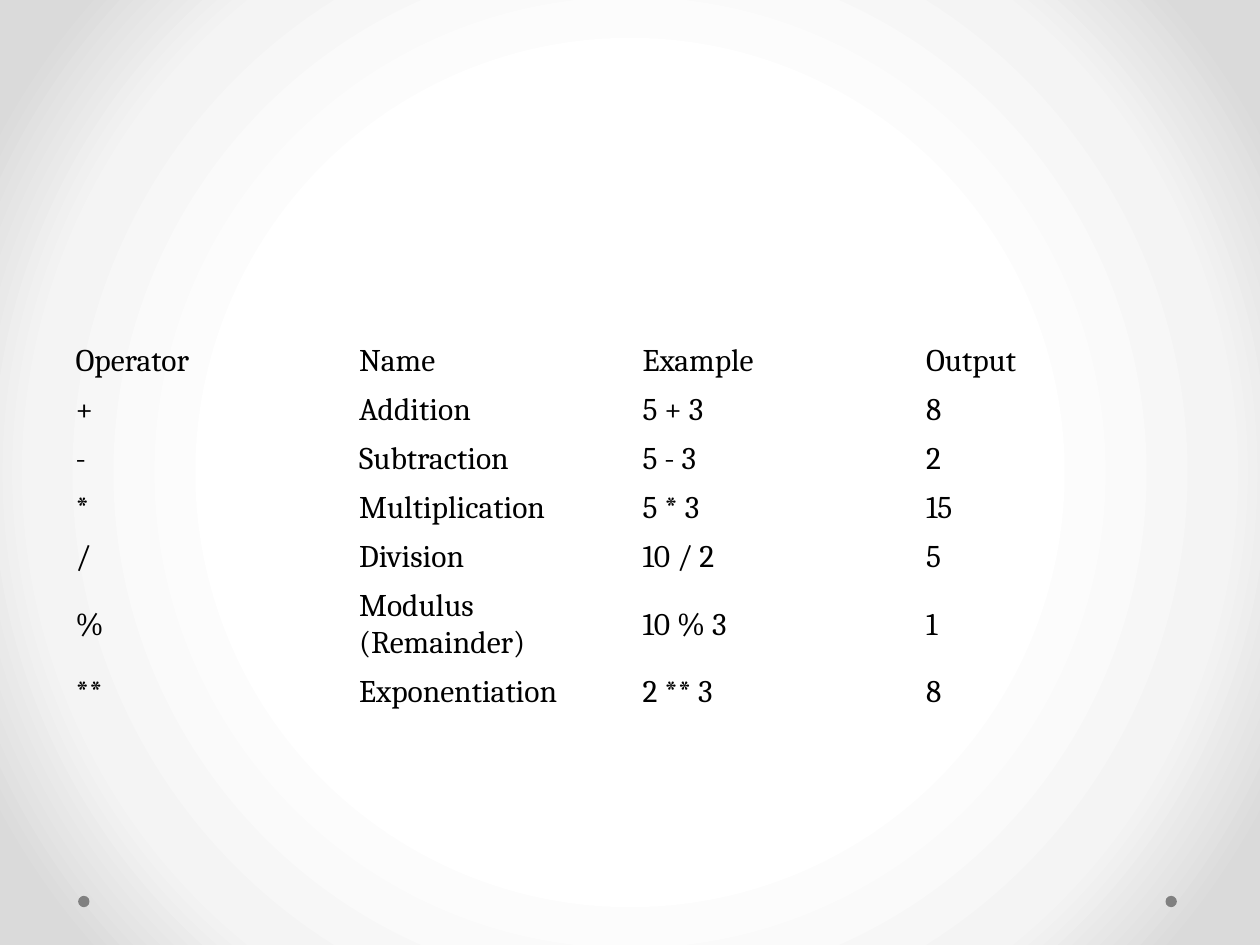
from typing import NamedTuple

from lxml.etree import SubElement
from pptx import Presentation
from pptx.dml.color import RGBColor
from pptx.enum.shapes import MSO_SHAPE as Shape
from pptx.enum.text import MSO_ANCHOR as Anchor
from pptx.oxml.ns import qn
from pptx.util import Inches, Pt

BLACK = RGBColor(0x00, 0x00, 0x00)
GREY = RGBColor(0x80, 0x80, 0x80)
WHITE = RGBColor(0xFF, 0xFF, 0xFF)
PALE = RGBColor(0xF4, 0xF4, 0xF4)
EDGE = RGBColor(0xDA, 0xDA, 0xDA)
FONT = "Cambria"
PLAIN_STYLE = "{2D5ABB26-0587-4C30-8999-92F81FD0307C}"
ROW, TALL = 0.39, 0.68


class Stop(NamedTuple):
    percent: int
    color: RGBColor


class Operator(NamedTuple):
    sign: str
    name: str
    example: str
    output: str
    height: float = ROW


STOPS = [Stop(50, WHITE), Stop(76, PALE), Stop(92, EDGE)]
DOTS = [0.62, 9.25]
ROWS = [
    Operator("Operator", "Name", "Example", "Output"),
    Operator("+", "Addition", "5 + 3", "8"),
    Operator("-", "Subtraction", "5 - 3", "2"),
    Operator("*", "Multiplication", "5 * 3", "15"),
    Operator("/", "Division", "10 / 2", "5"),
    Operator("%", "Modulus (Remainder)", "10 % 3", "1", TALL),
    Operator("**", "Exponentiation", "2 ** 3", "8"),
]


def paint_back(slide, stops: list[Stop]) -> None:
    """Fill the background with a gradient circling out from the centre."""
    slide.background.fill.gradient()
    grad = slide.element.find(".//" + qn("a:gradFill"))
    for child in list(grad):
        grad.remove(child)
    items = SubElement(grad, qn("a:gsLst"))
    for stop in stops:
        item = SubElement(items, qn("a:gs"), pos=str(stop.percent * 1000))
        SubElement(item, qn("a:srgbClr"), val=str(stop.color))
    circle = SubElement(grad, qn("a:path"), {"path": "circle"})
    sides = dict.fromkeys("ltrb", "50000")
    SubElement(circle, qn("a:fillToRect"), sides)


def add_dot(slide, left: float) -> None:
    size = Inches(0.09)
    dot = slide.shapes.add_shape(Shape.OVAL, Inches(left), Inches(7.11), size, size)
    dot.shadow.inherit = False
    dot.fill.solid()
    dot.fill.fore_color.rgb = GREY
    dot.line.fill.background()


def fill_cell(cell, text: str) -> None:
    cell.fill.background()
    cell.vertical_anchor = Anchor.MIDDLE
    run = cell.text_frame.paragraphs[0].add_run()
    run.text = text
    run.font.name = FONT
    run.font.size = Pt(18)
    run.font.color.rgb = BLACK


def add_grid(slide, rows: list[Operator]) -> None:
    height = sum(row.height for row in rows)
    frame = slide.shapes.add_table(
        len(rows), 4, Inches(0.5), Inches(2.67), Inches(9), Inches(height)
    )
    table = frame.table
    table.first_row = table.horz_banding = False
    frame.element.find(".//" + qn("a:tableStyleId")).text = PLAIN_STYLE
    for line, row in zip(table.rows, rows):
        line.height = Inches(row.height)
        texts = (row.sign, row.name, row.example, row.output)
        for cell, text in zip(line.cells, texts):
            fill_cell(cell, text)


def main() -> None:
    deck = Presentation()
    deck.slide_width, deck.slide_height = Inches(10), Inches(7.5)
    slide = deck.slides.add_slide(deck.slide_layouts[6])
    paint_back(slide, STOPS)
    for left in DOTS:
        add_dot(slide, left)
    add_grid(slide, ROWS)
    deck.save("out.pptx")


if __name__ == "__main__":
    main()
